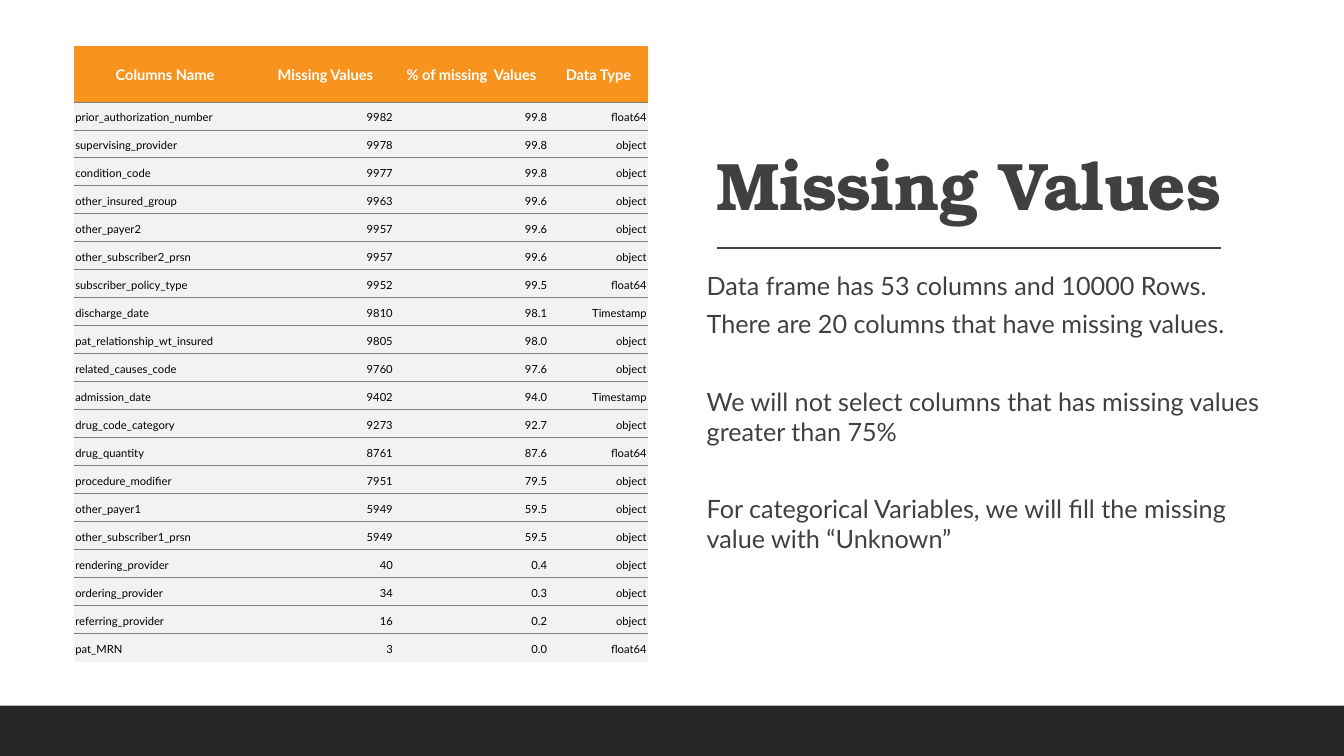
from lxml.etree import SubElement
from pptx import Presentation
from pptx.dml.color import RGBColor
from pptx.enum.shapes import MSO_CONNECTOR, MSO_SHAPE
from pptx.enum.text import MSO_ANCHOR, PP_ALIGN
from pptx.oxml.ns import qn
from pptx.util import Cm, Pt

WHITE = RGBColor(0xFF, 0xFF, 0xFF)
BLACK = RGBColor(0x00, 0x00, 0x00)
TEXT_GREY = RGBColor(0x40, 0x40, 0x40)
RULE_GREY = RGBColor(0x80, 0x80, 0x80)
ROW_GREY = RGBColor(0xF2, 0xF2, 0xF2)
FOOTER_GREY = RGBColor(0x26, 0x26, 0x26)
ORANGE = RGBColor(0xF8, 0x93, 0x1D)

NO_GRID_STYLE = "{2D5ABB26-0587-4C30-8999-92F81FD0307C}"
SLIDE_W, SLIDE_H = 33.87, 19.05
FOOTER_H = 1.27
COLUMN_WIDTHS = [4.6, 3.48, 3.89, 2.51]
TABLE_H = 15.52

HEADER = ("Columns Name", "Missing Values", "% of missing  Values", "Data Type")
ROWS = [
    ("prior_authorization_number", "9982", "99.8", "float64"),
    ("supervising_provider", "9978", "99.8", "object"),
    ("condition_code", "9977", "99.8", "object"),
    ("other_insured_group", "9963", "99.6", "object"),
    ("other_payer2", "9957", "99.6", "object"),
    ("other_subscriber2_prsn", "9957", "99.6", "object"),
    ("subscriber_policy_type", "9952", "99.5", "float64"),
    ("discharge_date", "9810", "98.1", "Timestamp"),
    ("pat_relationship_wt_insured", "9805", "98.0", "object"),
    ("related_causes_code", "9760", "97.6", "object"),
    ("admission_date", "9402", "94.0", "Timestamp"),
    ("drug_code_category", "9273", "92.7", "object"),
    ("drug_quantity", "8761", "87.6", "float64"),
    ("procedure_modifier", "7951", "79.5", "object"),
    ("other_payer1", "5949", "59.5", "object"),
    ("other_subscriber1_prsn", "5949", "59.5", "object"),
    ("rendering_provider", "40", "0.4", "object"),
    ("ordering_provider", "34", "0.3", "object"),
    ("referring_provider", "16", "0.2", "object"),
    ("pat_MRN", "3", "0.0", "float64"),
]

# Each note with the space after it, in points
NOTES = [
    ("Data frame has 53 columns and 10000 Rows.", 6),
    ("There are 20 columns that have missing values.", 33.6),
    ("We will not select columns that has missing values greater than 75%", 33.6),
    ("For categorical Variables, we will fill the missing value with “Unknown”", 6),
]


class SlideBuilder:
    title_font = "TeX Gyre Bonum"
    body_font = "Lato"

    def __init__(self, s):
        self.s = s

    def run(self, p, text, size, color, bold=False, font=None):
        r = p.add_run()
        r.text = text
        r.font.name = font or self.body_font
        r.font.size = Pt(size)
        r.font.bold = bold
        r.font.color.rgb = color
        return r

    def bar(self, x, y, w, h, color):
        sp = self.s.shapes.add_shape(MSO_SHAPE.RECTANGLE, Cm(x), Cm(y), Cm(w), Cm(h))
        sp.shadow.inherit = False
        sp.fill.solid()
        sp.fill.fore_color.rgb = color
        sp.line.fill.background()

    def rule(self, x1, x2, y):
        sp = self.s.shapes.add_connector(
            MSO_CONNECTOR.STRAIGHT, Cm(x1), Cm(y), Cm(x2), Cm(y))
        sp.line.color.rgb = TEXT_GREY
        sp.line.width = Pt(1)
        SubElement(sp.element.spPr, qn("a:effectLst"))

    def text_frame(self, x, y, w, h, anchor):
        tf = self.s.shapes.add_textbox(Cm(x), Cm(y), Cm(w), Cm(h)).text_frame
        tf.word_wrap = True
        tf.vertical_anchor = anchor
        return tf

    def title(self, x, y, w, h, text):
        p = self.text_frame(x, y, w, h, MSO_ANCHOR.BOTTOM).paragraphs[0]
        p.line_spacing = 0.9
        p.space_after = Pt(6)
        r = self.run(p, text, 48, TEXT_GREY, True, self.title_font)
        r.font._element.set("spc", "-50")

    def notes(self, x, y, w, h, notes):
        tf = self.text_frame(x, y, w, h, MSO_ANCHOR.TOP)
        tf.margin_left = tf.margin_right = 0
        for i, (text, gap) in enumerate(notes):
            p = tf.add_paragraph() if i else tf.paragraphs[0]
            p.space_after = Pt(gap)
            self.run(p, text, 18, TEXT_GREY)

    def border(self, cell, side):
        ln = SubElement(cell._tc.get_or_add_tcPr(), qn(f"a:ln{side}"), w=str(Pt(0.75)))
        fill = SubElement(ln, qn("a:solidFill"))
        SubElement(fill, qn("a:srgbClr"), val=str(RULE_GREY))

    def cell(self, cell, text, align, size, color, fill, sides, margins):
        # Borders go in before the fill, as the schema orders them
        for side in sides:
            self.border(cell, side)
        cell.fill.solid()
        cell.fill.fore_color.rgb = fill
        cell.vertical_anchor = MSO_ANCHOR.MIDDLE
        cell.margin_left = cell.margin_right = Cm(margins[0])
        cell.margin_top, cell.margin_bottom = Cm(0.15), Cm(margins[1])
        p = cell.text_frame.paragraphs[0]
        p.alignment = align
        self.run(p, text, size, color, bold=color == WHITE)

    def table(self, x, y, widths, height, header, rows):
        table = self.s.shapes.add_table(
            len(rows) + 1, len(widths), Cm(x), Cm(y), Cm(sum(widths)), Cm(height)).table
        table.horz_banding = table.first_row = False
        table._tbl.tblPr.find(qn("a:tableStyleId")).text = NO_GRID_STYLE
        for column, width in zip(table.columns, widths):
            column.width = Cm(width)

        # The header is two body rows high
        row_h = Cm(height) // (len(rows) + 2)
        for i, row in enumerate(table.rows):
            row.height = row_h if i else 2 * row_h

        for j, text in enumerate(header):
            self.cell(table.cell(0, j), text, PP_ALIGN.CENTER, 10.5,
                      WHITE, ORANGE, "B", (0.13, 0.13))
        for i, values in enumerate(rows, 1):
            sides = "TB" if i < len(rows) else "T"
            for j, text in enumerate(values):
                align = PP_ALIGN.RIGHT if j else PP_ALIGN.JUSTIFY
                self.cell(table.cell(i, j), text, align, 8,
                          BLACK, ROW_GREY, sides, (0.04, 0.08))


def main():
    prs = Presentation()
    prs.slide_width, prs.slide_height = Cm(SLIDE_W), Cm(SLIDE_H)
    b = SlideBuilder(prs.slides.add_slide(prs.slide_layouts[6]))

    # Backdrop
    b.bar(0, 0, SLIDE_W, SLIDE_H, WHITE)

    # Title and notes
    b.title(17.81, 3.68, 14.25, 2.11, "Missing Values")
    b.rule(18.08, 30.78, 6.25)
    b.notes(17.81, 6.68, 14.25, 9.63, NOTES)

    # Footer
    b.bar(0, SLIDE_H - FOOTER_H, SLIDE_W, FOOTER_H, FOOTER_GREY)

    # Missing values table
    b.table(1.86, 1.16, COLUMN_WIDTHS, TABLE_H, HEADER, ROWS)

    prs.save("out.pptx")


if __name__ == "__main__":
    main()
